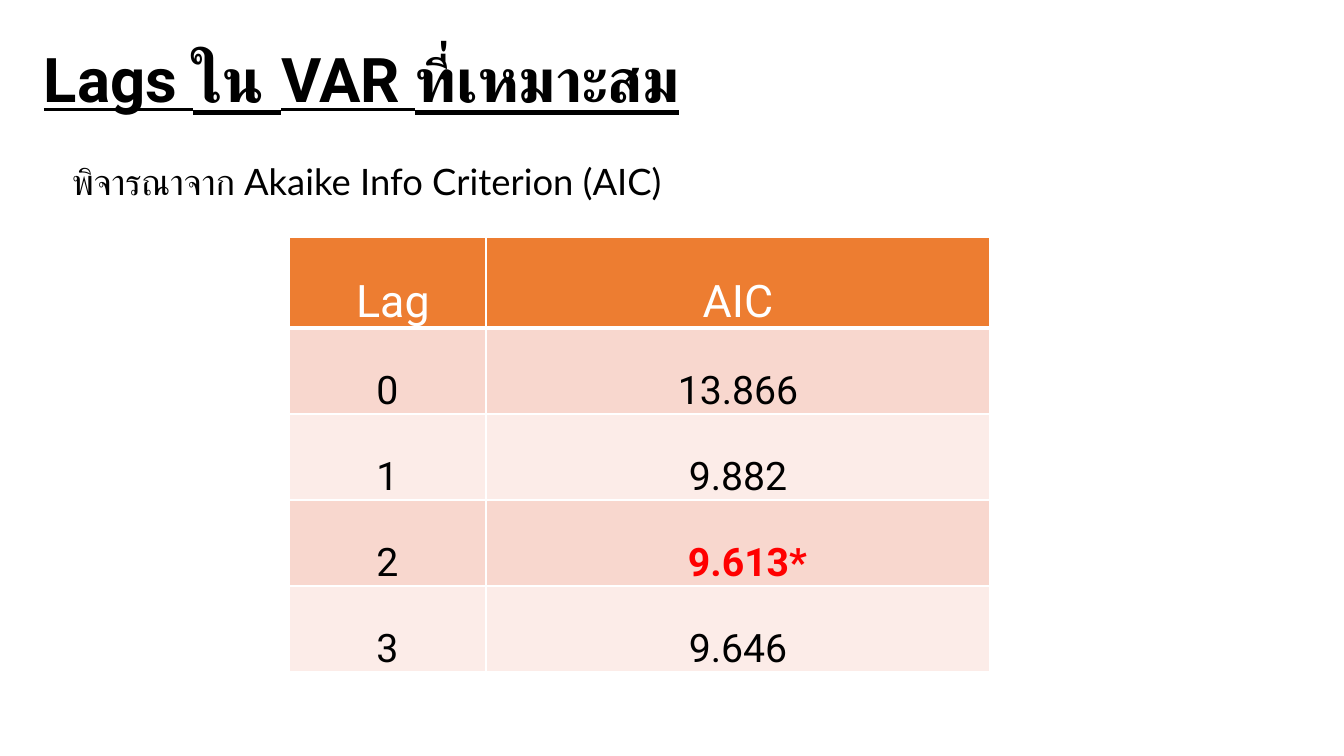
"""Build a slide on choosing the number of lags in a VAR model by AIC."""
import pptx
import pptx.dml.color
import pptx.enum.text
import pptx.oxml
import pptx.oxml.ns
import pptx.util

PX = 9071.43
MIDDLE = pptx.enum.text.MSO_ANCHOR.MIDDLE
BOTTOM = pptx.enum.text.MSO_ANCHOR.BOTTOM
CENTER = pptx.enum.text.PP_ALIGN.CENTER

THEME = {
    "ink": "000000",
    "white": "FFFFFF",
    "best": "FF0000",
    "header": "ED7D31",
    "bands": ("F8D7CE", "FCECE8"),
    "title": {"name": "Roboto", "size": pptx.util.Pt(44), "bold": True, "underline": True},
    "lead": {"name": "Lato", "size": pptx.util.Pt(26)},
    "head": {"name": "Roboto", "size": pptx.util.Pt(32), "bold": False},
    "body": {"name": "Roboto", "size": pptx.util.Pt(28), "bold": False},
}

AIC_ROWS = [("0", "13.866"), ("1", "9.882"), ("2", "9.613*"), ("3", "9.646")]


def px(n):
    """Turn pixels into EMU."""
    return pptx.util.Emu(round(n * PX))


def rgb(code):
    """Return the colour for a hex code."""
    return pptx.dml.color.RGBColor.from_string(code)


def set_all(obj, values):
    """Set each attribute given in a dict."""
    for name, value in values.items():
        setattr(obj, name, value)


def write(tf, text, font, color, para):
    """Write one formatted paragraph into a text frame."""
    p = tf.paragraphs[0]
    set_all(p, para)
    r = p.add_run()
    r.text = text
    set_all(r.font, font)
    r.font.color.rgb = rgb(color)


def add_text(s, box, text, font, frame, para):
    """Add a wrapped text box."""
    tf = s.shapes.add_textbox(*map(px, box)).text_frame
    set_all(tf, {"word_wrap": True, **frame})
    write(tf, text, font, THEME["ink"], para)


def set_borders(cell, bottom):
    """Draw white borders round a cell, with a given bottom width in points."""
    tc_pr = cell._tc.get_or_add_tcPr()
    for side, width in (("L", 1), ("R", 1), ("T", 1), ("B", bottom)):
        tc_pr.append(pptx.oxml.parse_xml(
            f'<a:ln{side} {pptx.oxml.ns.nsdecls("a")} w="{pptx.util.Pt(width)}">'
            f'<a:solidFill><a:srgbClr val="{THEME["white"]}"/></a:solidFill></a:ln{side}>'))


def fill_cell(cell, text, font, color, fill, left=1, side=1, spacing=1.0, bottom=1):
    """Format one table cell and write its text."""
    set_borders(cell, bottom)
    cell.fill.solid()
    cell.fill.fore_color.rgb = rgb(fill)
    set_all(cell, {"vertical_anchor": BOTTOM, "margin_left": px(left),
                   "margin_right": px(side), "margin_top": px(1), "margin_bottom": 0})
    write(cell.text_frame, text, font, color,
          {"alignment": CENTER, "line_spacing": spacing})


def add_aic_table(s):
    """Add the table of AIC by lag, with the lowest AIC marked."""
    widths, heights = (197, 504), (91, 86, 86, 86, 86)
    table = s.shapes.add_table(len(heights), len(widths), px(289), px(237),
                               px(sum(widths)), px(sum(heights))).table
    for column, width in zip(table.columns, widths):
        column.width = px(width)
    for row, height in zip(table.rows, heights):
        row.height = px(height)
    for col, (text, left) in enumerate((("Lag", 12), ("AIC", 1))):
        fill_cell(table.cell(0, col), text, THEME["head"], THEME["white"],
                  THEME["header"], left=left, bottom=3)
    for i, (lag, aic) in enumerate(AIC_ROWS):
        fill = THEME["bands"][i % 2]
        best = aic.endswith("*")
        fill_cell(table.cell(i + 1, 0), lag, THEME["body"], THEME["ink"], fill,
                  left=7, side=7, spacing=1.15)
        fill_cell(table.cell(i + 1, 1), aic, {**THEME["body"], "bold": best},
                  THEME["best" if best else "ink"], fill, left=20 if best else 1)


def main():
    """Build and save the slide."""
    prs = pptx.Presentation()
    set_all(prs, {"slide_width": px(1344), "slide_height": px(756)})
    s = prs.slides.add_slide(prs.slide_layouts[6])
    add_text(s, (34, 10, 1159, 146), "Lags ใน VAR ที่เหมาะสม", THEME["title"],
             {"vertical_anchor": MIDDLE}, {"line_spacing": 0.9})
    add_aic_table(s)
    add_text(s, (62, 154, 889, 54), "พิจารณาจาก Akaike Info Criterion (AIC)", THEME["lead"],
             {"auto_size": pptx.enum.text.MSO_AUTO_SIZE.SHAPE_TO_FIT_TEXT}, {})
    prs.save("out.pptx")


if __name__ == "__main__":
    main()
